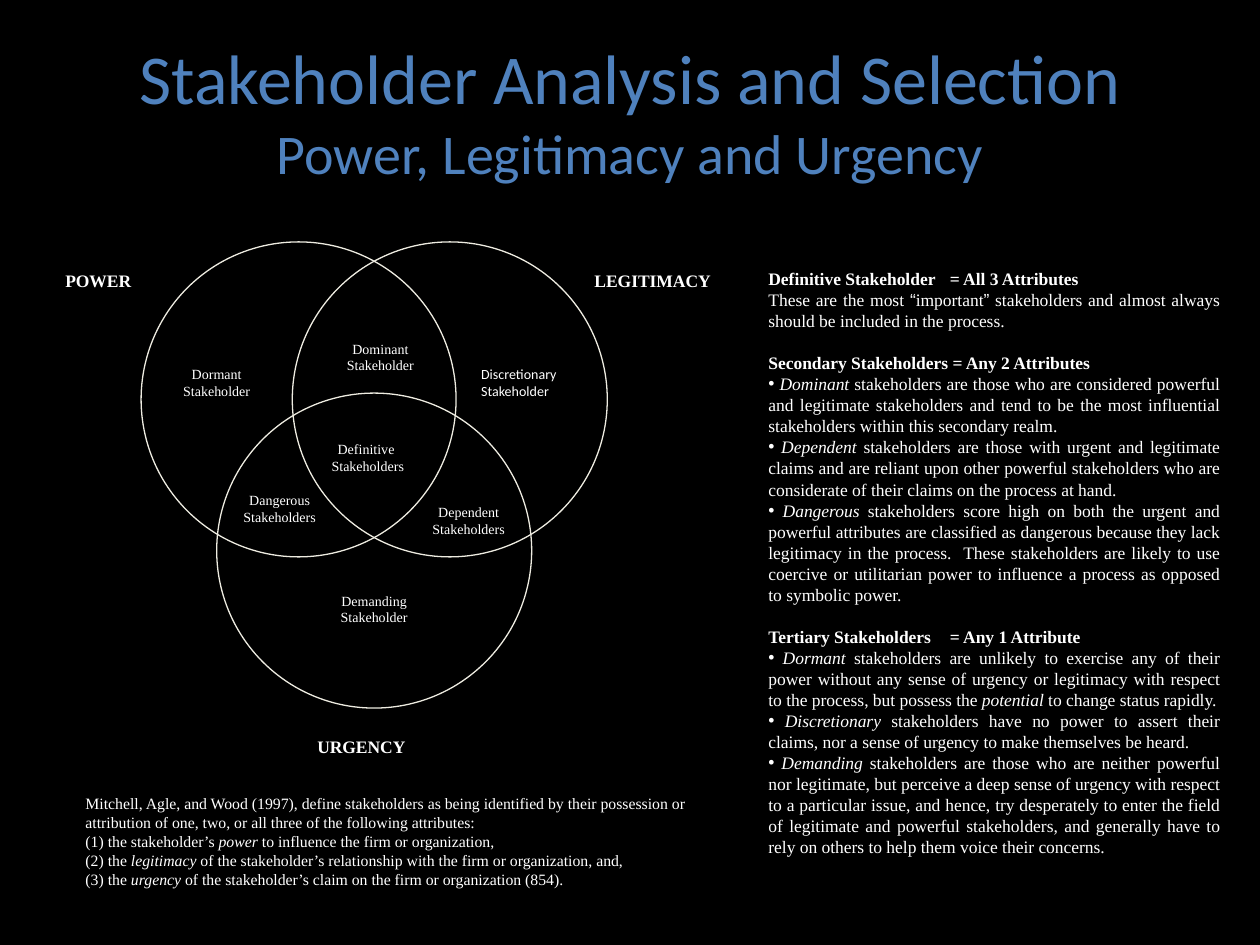
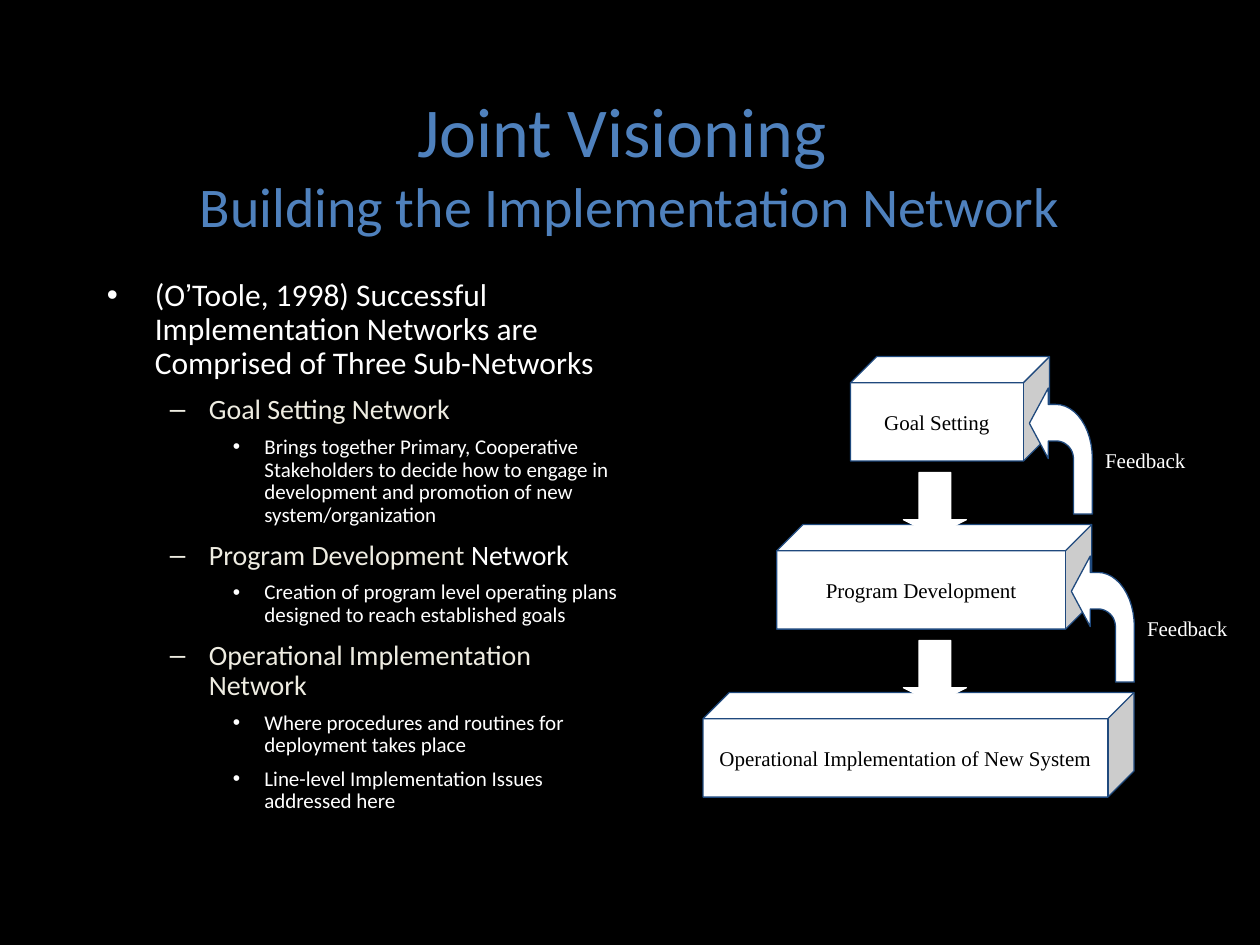
from math import cos, pi, sin

from lxml.etree import SubElement
from pptx import Presentation
from pptx.dml.color import RGBColor
from pptx.enum.shapes import MSO_SHAPE as Shape
from pptx.enum.text import MSO_ANCHOR as Anchor, PP_ALIGN as Align
from pptx.oxml.ns import qn
from pptx.util import Inches, Pt

BLACK = RGBColor(0x00, 0x00, 0x00)
WHITE = RGBColor(0xFF, 0xFF, 0xFF)
CREAM = RGBColor(0xEE, 0xEC, 0xE1)
BLUE = RGBColor(0x4F, 0x81, 0xBD)
NAVY = RGBColor(0x1F, 0x49, 0x7D)
SANS, SERIF, SYMBOL = "Calibri", "Times New Roman", "Arial"


def italic(text):
    return text, {"italic": True}


def symbol(text):
    return text, {"name": SYMBOL}


class Deck:
    """Holds the shared style and the current page, and draws each kind of element."""

    def __init__(self):
        self.file = Presentation()
        self.file.slide_width, self.file.slide_height = Inches(10), Inches(7.5)
        self.page = None

    def add_page(self):
        self.page = self.file.slides.add_slide(self.file.slide_layouts[6])
        fill = self.page.background.fill
        fill.solid()
        fill.fore_color.rgb = BLACK

    def style_font(self, font, color=None, **style):
        for key, value in style.items():
            setattr(font, key, value)
        if color is not None:
            font.color.rgb = color

    def add_text(self, para, spans, size, name=SERIF, color=WHITE, align=Align.LEFT, bold=False):
        para.alignment = align
        self.style_font(para.font, color, size=Pt(size), name=name, bold=bold)
        for item in [spans] if isinstance(spans, str) else spans:
            text, style = (item, {}) if isinstance(item, str) else item
            if text == "\n":
                para.add_line_break()
                continue
            span = para.add_run()
            span.text = text
            self.style_font(span.font, **style)

    def bullet(self, para, mark, left=0, hanging=0):
        props = para._p.get_or_add_pPr()
        props.set("marL", str(Inches(left)))
        props.set("indent", str(-Inches(hanging)))
        style = props.find(qn("a:defRPr"))
        style.addprevious(props.makeelement(qn("a:buFont"), typeface=SYMBOL))
        style.addprevious(props.makeelement(qn("a:buChar"), char=mark))

    def tab_stop(self, para, position):
        props = para._p.get_or_add_pPr()
        tabs = props.makeelement(qn("a:tabLst"))
        SubElement(tabs, qn("a:tab"), pos=str(Inches(position)), algn="l")
        props.find(qn("a:defRPr")).addprevious(tabs)

    def text_box(self, left, top, width, height, paragraphs, wrap=True, anchor=Anchor.TOP, **style):
        box = self.page.shapes.add_textbox(Inches(left), Inches(top), Inches(width), Inches(height))
        frame = box.text_frame
        frame.word_wrap, frame.vertical_anchor = wrap, anchor
        for index, spans in enumerate(paragraphs):
            para = frame.add_paragraph() if index else frame.paragraphs[0]
            self.add_text(para, spans, **style)
        return frame

    def title(self, left, top, width, height, heading, subheading):
        spans = [heading, "\n", (subheading, {"size": Pt(32)})]
        self.text_box(left, top, width, height, [spans], anchor=Anchor.MIDDLE,
                      size=40, name=SANS, color=BLUE, align=Align.CENTER)

    def paint(self, shape, fill, line):
        shape.shadow.inherit = False
        if fill is None:
            shape.fill.background()
        else:
            shape.fill.solid()
            shape.fill.fore_color.rgb = fill
        shape.line.color.rgb = line
        shape.line.width = Pt(0.75)

    def shape(self, kind, left, top, width, height, fill=None, line=CREAM, adjust=()):
        shape = self.page.shapes.add_shape(kind, Inches(left), Inches(top), Inches(width), Inches(height))
        for index, value in enumerate(adjust):
            shape.adjustments[index] = value
        self.paint(shape, fill, line)
        return shape

    def cube(self, left, top, width, height, text):
        frame = self.shape(Shape.CUBE, left, top, width, height, WHITE, NAVY, [0.25]).text_frame
        frame.word_wrap, frame.vertical_anchor = False, Anchor.MIDDLE
        self.add_text(frame.paragraphs[0], text, 12, color=BLACK, align=Align.CENTER)

    def feedback_arrow(self, left, top):
        angles = [step * pi / 24 for step in range(13)]
        outer = [(0.21 + 0.29 * sin(a), 0.56 - 0.43 * cos(a)) for a in angles]
        inner = [(0.21 + 0.14 * cos(a), 0.56 - 0.14 * sin(a)) for a in angles]
        outline = [(0, 0.28), (0.15, 0), (0.15, 0.13), *outer, (0.5, 1), (0.35, 1),
                   *inner, (0.15, 0.42), (0.15, 0.56)]
        points = [(Inches(left + x), Inches(top + y)) for x, y in outline]
        builder = self.page.shapes.build_freeform(*points[0], scale=1.0)
        builder.add_line_segments(points[1:], close=True)
        self.paint(builder.convert_to_shape(), WHITE, NAVY)


CIRCLES = [(1.12, 1.92), (2.32, 1.92), (1.72, 3.12)]
REGIONS = [
    (1.32, 2.72, 0.8, ["Dormant", "Stakeholder"]),
    (2.52, 4.52, 0.9, ["Demanding Stakeholder"]),
    (2.62, 2.52, 0.8, ["Dominant Stakeholder"]),
    (2.52, 3.32, 0.8, ["Definitive ", "Stakeholders"]),
    (1.82, 3.72, 0.8, ["Dangerous", "Stakeholders"]),
    (3.32, 3.82, 0.8, ["Dependent", "Stakeholders"]),
]
ATTRIBUTES = [(0.42, 2.09, 0.8, "POWER"), (4.62, 2.09, 1.2, "LEGITIMACY"), (2.42, 5.79, 1.1, "URGENCY")]
CLASSES = [
    ("Definitive Stakeholder\t= All 3 Attributes", [
        ["These are the most ", symbol("“"), "important", symbol("”"),
         " stakeholders and almost always should be included in the process."]]),
    ("Secondary Stakeholders = Any 2 Attributes", [
        [italic(" Dominant "), "stakeholders are those who are considered powerful and legitimate "
         "stakeholders and tend to be the most influential stakeholders within this secondary realm."],
        [italic(" Dependent"), " stakeholders are those with urgent and legitimate claims and are reliant "
         "upon other powerful stakeholders who are considerate of their claims on the process at hand."],
        [italic(" Dangerous"), " stakeholders score high on both the urgent and powerful attributes are "
         "classified as dangerous because they lack legitimacy in the process.  These stakeholders are "
         "likely to use coercive or utilitarian power to influence a process as opposed to symbolic power."]]),
    ("Tertiary Stakeholders\t= Any 1 Attribute", [
        [italic(" Dormant"), " stakeholders are unlikely to exercise any of their power without any sense of "
         "urgency or legitimacy with respect to the process, but possess the ", italic("potential"),
         " to change status rapidly."],
        [italic(" Discretionary "), "stakeholders have no power to assert their claims, nor a sense of urgency "
         "to make themselves be heard."],
        [italic(" Demanding"), " stakeholders are those who are neither powerful nor legitimate, but perceive a "
         "deep sense of urgency with respect to a particular issue, and hence, try desperately to enter the "
         "field of legitimate and powerful stakeholders, and generally have to rely on others to help them "
         "voice their concerns."]]),
]
DEFINITION = [
    "Mitchell, Agle, and Wood (1997), define stakeholders as being identified by their possession or "
    "attribution of one, two, or all three of the following attributes:",
    ["(1) the stakeholder’s ", italic("power"), " to influence the firm or organization,"],
    ["(2) the ", italic("legitimacy"), " of the stakeholder’s relationship with the firm or organization, and,"],
    ["(3) the ", italic("urgency"), " of the stakeholder’s claim on the firm or organization (854)."],
]
LEVELS = [("•", 0.38, 0.38, 18, WHITE), ("–", 0.81, 0.31, 16, CREAM), ("•", 1.25, 0.25, 12, WHITE)]
OUTLINE = [
    (0, ["(O", symbol("’"), "Toole, 1998) Successful Implementation Networks are Comprised of Three Sub-Networks"]),
    (1, "Goal Setting Network"),
    (2, "Brings together Primary, Cooperative Stakeholders to decide how to engage in development and "
        "promotion of new system/organization"),
    (1, ["Program Development ", ("Network", {"color": WHITE})]),
    (2, "Creation of program level operating plans designed to reach established goals"),
    (1, "Operational Implementation Network"),
    (2, "Where procedures and routines for deployment takes place"),
    (2, "Line-level Implementation Issues addressed here"),
]
STAGES = ["Goal Setting", "Program Development", "Operational Implementation of New System"]


def add_stakeholder_page(deck):
    deck.add_page()
    deck.title(0, -0.11, 10, 1.97, "Stakeholder Analysis and Selection", "Power, Legitimacy and Urgency")
    for left, top in CIRCLES:
        deck.shape(Shape.OVAL, left, top, 2.5, 2.5)
    labels = [deck.text_box(left, top, width, 0.5, lines, size=8, align=Align.CENTER)
              for left, top, width, lines in REGIONS]
    labels.append(deck.text_box(3.72, 2.72, 0.9, 0.5, ["Discretionary Stakeholder"], size=8, name=SANS))
    for frame in labels:
        frame.margin_top = Inches(0.18)
    for left, top, width, text in ATTRIBUTES:
        deck.text_box(left, top, width, 0.3, [text], size=10, bold=True)

    frame = deck.text_box(6, 2.08, 3.78, 4.93, [])
    for index, (heading, details) in enumerate(CLASSES):
        para = frame.add_paragraph() if index else frame.paragraphs[0]
        deck.add_text(para, heading, 10, align=Align.JUSTIFY, bold=True)
        deck.tab_stop(para, 1.44)
        if index:
            para.space_before = Pt(12)
        for spans in details:
            para = frame.add_paragraph()
            deck.add_text(para, spans, 10, align=Align.JUSTIFY)
            if index:
                deck.bullet(para, "•")
    deck.text_box(0.58, 6.25, 5.05, 0.85, DEFINITION, size=9)


def add_network_page(deck):
    deck.add_page()
    deck.title(0.75, 0.38, 8.5, 1.83, "Joint Visioning ", "Building the Implementation Network")
    frame = deck.text_box(0.75, 2.17, 4.28, 4.5, [])
    for index, (level, spans) in enumerate(OUTLINE):
        mark, left, hanging, size, color = LEVELS[level]
        para = frame.add_paragraph() if index else frame.paragraphs[0]
        para.level, para.line_spacing = level, 0.9
        if index:
            para.space_before = Pt(size / 2)
        deck.add_text(para, spans, size, SANS, color)
        deck.bullet(para, mark, left, hanging)

    drop, shift = 4 / 3, 1 / 3
    for index, stage in enumerate(STAGES):
        deck.cube(6.75 - 0.585 * index, 2.83 + drop * index, 1.58 + 0.92 * index, 0.83, stage)
    for index in range(len(STAGES) - 1):
        right, down = shift * index, drop * index
        deck.feedback_arrow(8.17 + right, 3.08 + down)
        deck.shape(Shape.DOWN_ARROW, 7.17, 3.75 + down, 0.5, 0.5, WHITE, WHITE, [0.5, 0.25])
        deck.text_box(8.67 + right, 3.5 + down, 0.84, 0.3, ["Feedback"], wrap=False,
                      anchor=Anchor.MIDDLE, size=12, align=Align.CENTER)


def main():
    deck = Deck()
    add_stakeholder_page(deck)
    add_network_page(deck)
    deck.file.save("out.pptx")


if __name__ == "__main__":
    main()
